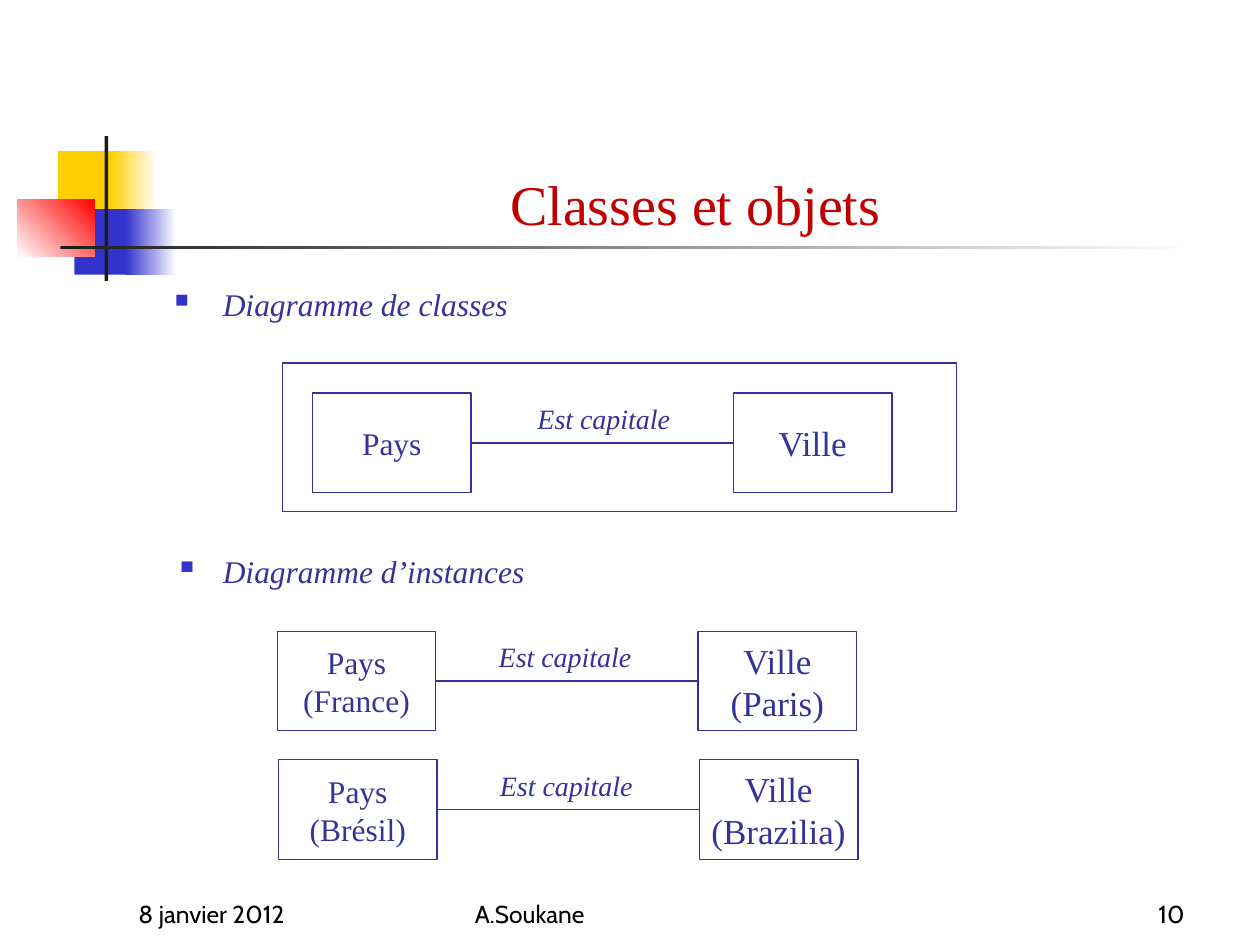
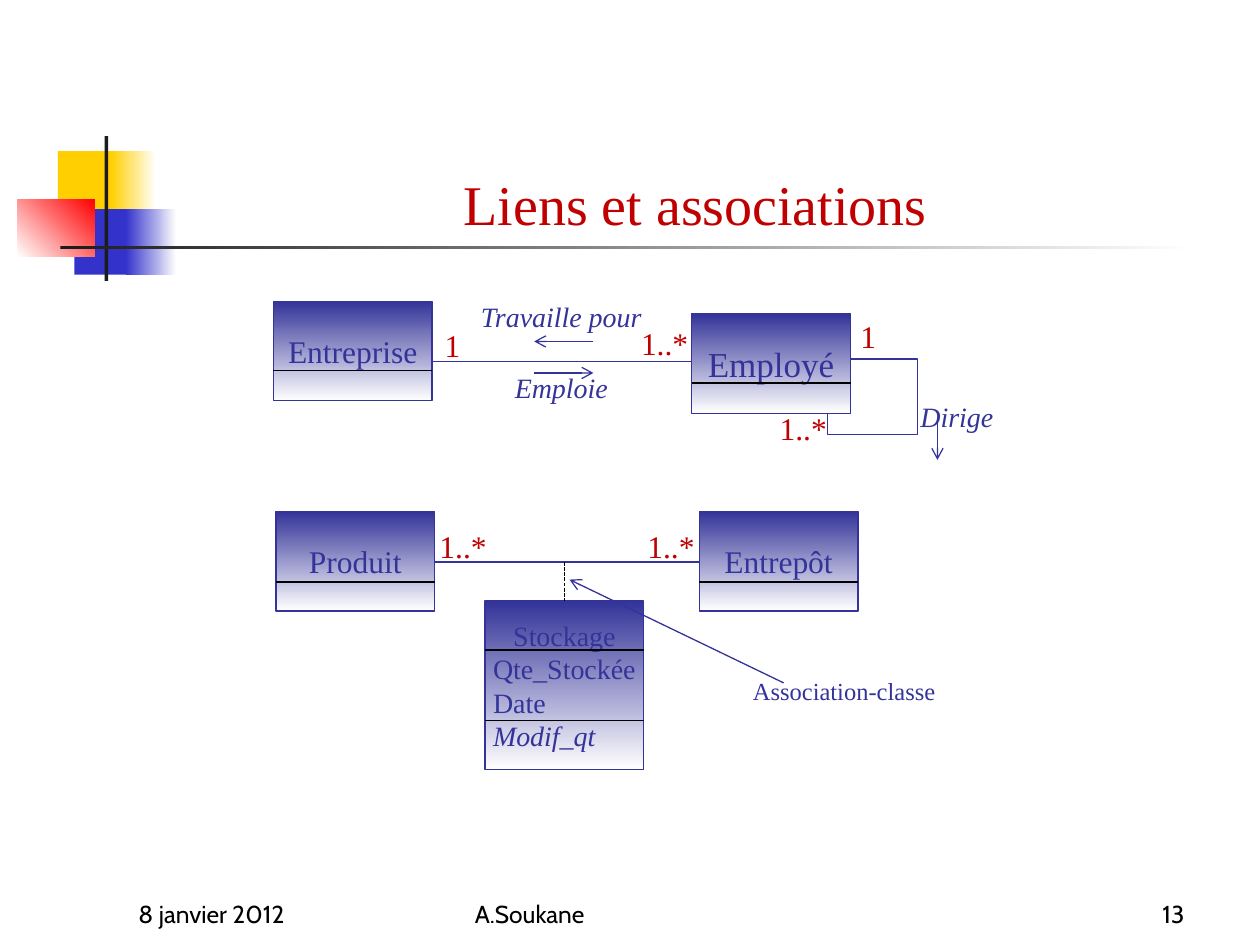
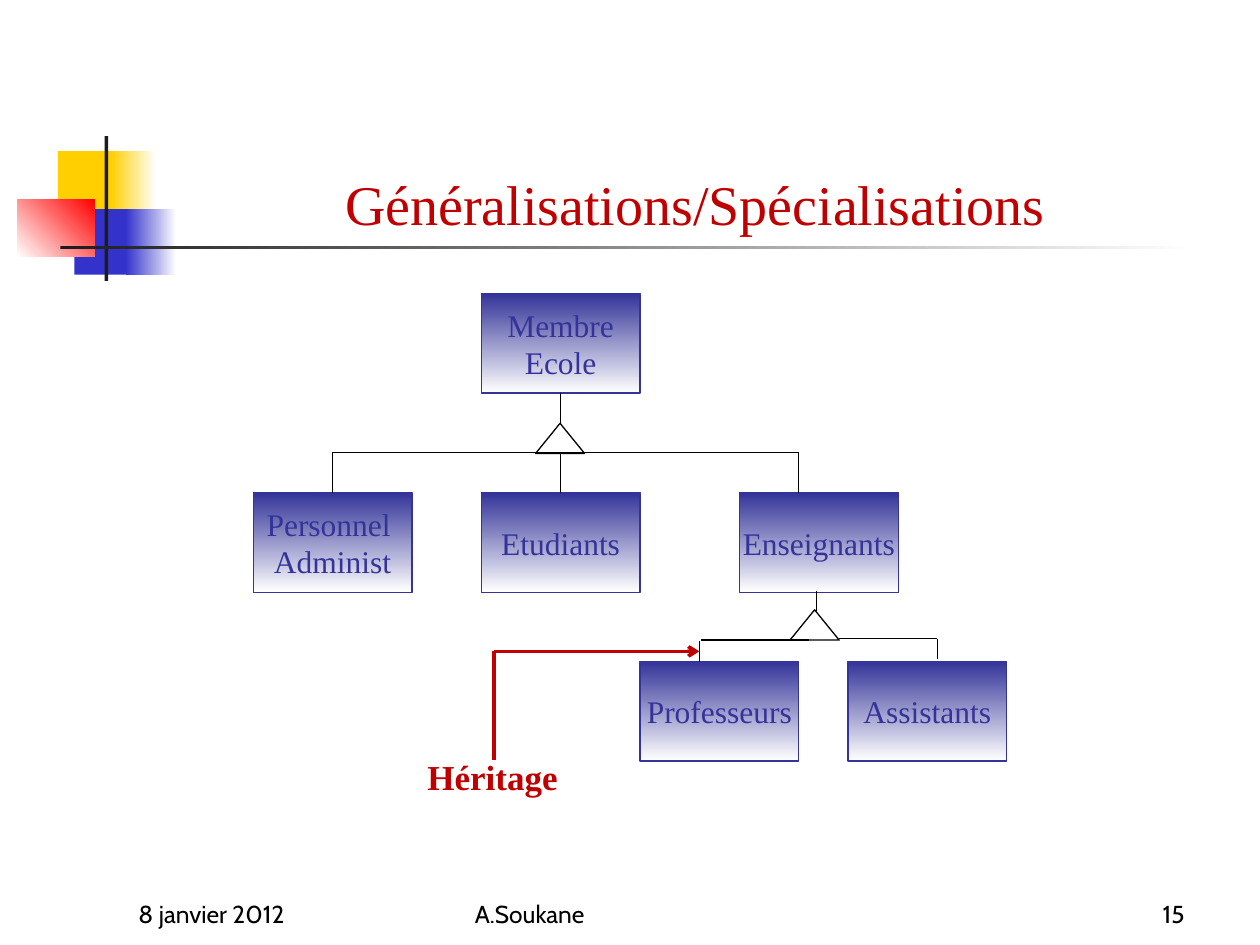
import pptx
import pptx.dml.color
import pptx.enum.dml
import pptx.enum.shapes
import pptx.enum.text
import pptx.oxml.ns
import pptx.util
from lxml import etree

Inches = pptx.util.Inches
Pt = pptx.util.Pt
ALIGN = pptx.enum.text.PP_ALIGN
ANCHOR = pptx.enum.text.MSO_ANCHOR
SHAPES = pptx.enum.shapes.MSO_SHAPE

COLORS = {
    "ink": "333399",
    "accent": "C00000",
    "black": "000000",
    "white": "FFFFFF",
    "yellow": "FFCF01",
    "blue": "3333CC",
    "red": "FF0000",
    "band": "1C1C1C",
}
SERIF = "Times New Roman"
FOOTER_FONT = "Cabin"
BOX_WIDTH, BOX_HEIGHT = 1.26, 0.79
PAIR_STEP = 3.34
CLASS_FILL = ("ink", "white", 90)


def rgb(name):
    """Return the named colour."""
    return pptx.dml.color.RGBColor.from_string(COLORS[name])


def add_child(parent, tag, **attributes):
    """Append a drawing element to an XML parent."""
    return etree.SubElement(parent, pptx.oxml.ns.qn(tag), attributes)


def write(text_frame, lines, size, color="ink", font=SERIF, align=ALIGN.CENTER,
          bold=False, italic=False):
    """Fill a text frame with evenly formatted paragraphs."""
    text_frame.text = "\n".join(lines)
    for paragraph in text_frame.paragraphs:
        paragraph.alignment = align
        for run in paragraph.runs:
            run.font.name = font
            run.font.size = Pt(size)
            run.font.color.rgb = rgb(color)
            run.font.bold = bold
            run.font.italic = italic


def add_text(slide, left, top, width, height, lines, size,
             anchor=ANCHOR.TOP, **style):
    """Add a wrapping text box."""
    box = slide.shapes.add_textbox(Inches(left), Inches(top), Inches(width), Inches(height))
    box.text_frame.word_wrap = True
    box.text_frame.vertical_anchor = anchor
    write(box.text_frame, lines, size, **style)
    return box


def add_label(slide, left, top, text, width=1.73, height=0.37, size=16, **style):
    """Add the name of an association, in italics by default."""
    style.setdefault("italic", True)
    label = add_text(slide, left, top, width, height, [text], size, **style)
    label.text_frame.auto_size = pptx.enum.text.MSO_AUTO_SIZE.SHAPE_TO_FIT_TEXT


def add_multiplicity(slide, left, top, text):
    """Add a red multiplicity beside an association end."""
    width = 0.23 if len(text) == 1 else 0.71
    add_label(slide, left, top, text, width, 0.4, 18, color="accent", italic=False)


def add_figure(slide, left, top, width, height, fill=None, line=None,
               preset=SHAPES.RECTANGLE):
    """Add a preset shape with a plain, gradient or empty fill."""
    shape = slide.shapes.add_shape(
        preset, Inches(left), Inches(top), Inches(width), Inches(height))
    shape.shadow.inherit = False
    if fill is None:
        shape.fill.background()
    elif isinstance(fill, str):
        shape.fill.solid()
        shape.fill.fore_color.rgb = rgb(fill)
    else:
        start, end, clockwise = fill
        shape.fill.gradient()
        shape.fill.gradient_angle = (360 - clockwise) % 360
        for stop, name, position in zip(shape.fill.gradient_stops, (start, end), (0, 1)):
            stop.color.rgb = rgb(name)
            stop.position = position
    if line:
        shape.line.color.rgb = rgb(line)
        shape.line.width = Pt(0.75)
    else:
        shape.line.fill.background()
    return shape


def add_box(slide, left, top, lines, size=18, fill=CLASS_FILL, height=BOX_HEIGHT):
    """Add a class or instance box."""
    box = add_figure(slide, left, top, BOX_WIDTH, height, fill, "ink")
    box.text_frame.word_wrap = False
    box.text_frame.vertical_anchor = ANCHOR.MIDDLE
    write(box.text_frame, lines, size)
    return box


def add_line(slide, x1, y1, x2, y2, color="ink", width=0.75, arrow=False, dashed=False):
    """Add a straight line, with an open arrowhead at its end if asked."""
    line = slide.shapes.add_connector(
        pptx.enum.shapes.MSO_CONNECTOR.STRAIGHT,
        Inches(x1), Inches(y1), Inches(x2), Inches(y2))
    line.line.color.rgb = rgb(color)
    line.line.width = Pt(width)
    if dashed:
        line.line.dash_style = pptx.enum.dml.MSO_LINE.SQUARE_DOT
    if arrow:
        add_child(line.line._get_or_add_ln(), "a:tailEnd", type="arrow")
    add_child(line._element.spPr, "a:effectLst")


def add_divider(slide, left, y):
    """Rule off a compartment of a class box."""
    add_line(slide, left, y, left + BOX_WIDTH, y, "black")


def add_triangle(slide, left, top):
    """Add a generalisation triangle."""
    add_figure(slide, left, top, 0.39, 0.24, None, "black", SHAPES.ISOSCELES_TRIANGLE)


def add_capital_pair(slide, left, top, country, city, label="Est capitale"):
    """Link a country box to its capital box."""
    right = left + PAIR_STEP
    middle = top + BOX_HEIGHT / 2
    add_box(slide, left, top, country, 18, None)
    add_box(slide, right, top, city, 20, None)
    add_line(slide, left + BOX_WIDTH, middle, right, middle)
    add_label(slide, left + 1.42, top + 0.02, label)


def add_bullets(slide, items):
    """Add the italic headings; items hold text, bullet, size and space before."""
    body = add_text(slide, 1.29, 2.21, 8.5, 4.5, [item[0] for item in items], 18,
                    align=ALIGN.LEFT, italic=True)
    for paragraph, (_, bullet, percent, space) in zip(body.text_frame.paragraphs, items):
        paragraph.space_before = Pt(space)
        properties = paragraph._p.get_or_add_pPr()
        properties.set("marL", str(Inches(0.38)))
        properties.set("indent", str(-Inches(0.38)))
        color = add_child(properties, "a:buClr")
        add_child(color, "a:srgbClr", val=COLORS["blue"])
        add_child(properties, "a:buSzPct", val=str(percent * 1000))
        add_child(properties, "a:buChar", char=bullet)


def start_slide(presentation, title, number):
    """Add a slide with the shared ornament, title and footer."""
    slide = presentation.slides.add_slide(presentation.slide_layouts[6])
    ornament = [
        (0.46, 1.2, 0.48, 0.52, "yellow"),
        (0.88, 1.2, 0.36, 0.52, ("yellow", "white", 0)),
        (0.59, 1.66, 0.46, 0.52, "blue"),
        (1, 1.66, 0.4, 0.52, ("blue", "white", 0)),
        (0.14, 1.58, 0.61, 0.46, ("white", "red", 315)),
        (0.83, 1.08, 0.03, 1.15, "band"),
        (0.48, 1.95, 9, 0.03, ("band", "white", 0)),
    ]
    for piece in ornament:
        add_figure(slide, *piece)
    add_text(slide, 1.26, 0.68, 8.52, 1.25, [title], 32, ANCHOR.BOTTOM, color="accent")
    footer = [
        (1, 2.08, "8 janvier 2012", ALIGN.LEFT),
        (3.67, 3.17, "A.Soukane", ALIGN.LEFT),
        (7.42, 2.08, str(number), ALIGN.RIGHT),
    ]
    for left, width, text, align in footer:
        add_text(slide, left, 6.92, width, 0.5, [text], 14, ANCHOR.BOTTOM,
                 color="black", font=FOOTER_FONT, align=align)
    return slide


def build_classes(presentation):
    """Build the class and instance diagrams."""
    slide = start_slide(presentation, "Classes et objets", 10)
    add_bullets(slide, [("Diagramme de classes", "■", 60, 3.6),
                        ("Diagramme d’instances", "▪", 104, 131)])
    add_capital_pair(slide, 2.48, 3.12, ["Pays"], ["Ville"], " Est capitale")
    add_figure(slide, 2.24, 2.88, 5.35, 1.18, None, "ink")
    add_capital_pair(slide, 2.2, 5.01, ["Pays", "(France)"], ["Ville", "(Paris)"])
    add_capital_pair(slide, 2.21, 6.03, ["Pays", "(Brésil)"], ["Ville", "(Brazilia)"])


def build_staff_links(slide):
    """Draw the company and employee associations."""
    add_label(slide, 6.73, 3.12, "Dirige")
    add_figure(slide, 6.57, 2.85, 0.71, 0.6, None, "ink")
    add_box(slide, 2.17, 2.39, ["Entreprise"])
    add_line(slide, 3.43, 2.87, 5.51, 2.87)
    add_label(slide, 3.59, 2.33, "Travaille pour")
    add_label(slide, 3.59, 2.89, "Emploie")
    add_box(slide, 5.49, 2.49, ["Employé"], 20)
    for ends in [(7.44, 3.32, 7.44, 3.65), (4.71, 2.71, 4.24, 2.71),
                 (4.24, 2.96, 4.71, 2.96)]:
        add_line(slide, *ends, arrow=True)
    for left, top, text in [(3.43, 2.54, "1"), (4.92, 2.52, "1..*"),
                            (6.73, 2.47, "1"), (6.02, 3.2, "1..*")]:
        add_multiplicity(slide, left, top, text)
    add_divider(slide, 2.17, 2.94)
    add_divider(slide, 5.49, 3.04)


def build_storage_links(slide):
    """Draw the product, warehouse and association class."""
    product, warehouse, storage = 2.19, 5.55, 3.85
    add_box(slide, product, 4.06, ["Produit"])
    add_box(slide, warehouse, 4.06, ["Entrepôt"])
    box = add_box(slide, storage, 4.77, ["Stockage", "Qte_Stockée", "Date", "Modif_qt"],
                  16, height=1.34)
    paragraphs = box.text_frame.paragraphs
    for paragraph in paragraphs[2:]:
        paragraph.alignment = ALIGN.LEFT
    paragraphs[3].runs[0].font.italic = True
    add_line(slide, product + BOX_WIDTH, 4.46, warehouse, 4.46)
    for left in (4.97, 3.32):
        add_multiplicity(slide, left, 4.13, "1..*")
    for left, y in [(product, 4.62), (warehouse, 4.62), (storage, 5.16), (storage, 5.72)]:
        add_divider(slide, left, y)
    add_line(slide, 4.48, 4.46, 4.48, 4.77, "black", dashed=True)
    add_label(slide, 5.49, 5.32, "Association-classe", 2.42, 0.34, 14, italic=False)
    add_line(slide, 6.22, 5.42, 4.52, 4.6, arrow=True)


def build_associations(presentation):
    """Build the slide on links and associations."""
    slide = start_slide(presentation, "Liens et associations", 13)
    build_staff_links(slide)
    build_storage_links(slide)


def build_inheritance(presentation):
    """Build the generalisation tree."""
    slide = start_slide(presentation, "Généralisations/Spécialisations", 15)
    boxes = [
        (3.82, 2.33, ["Membre", "Ecole"]),
        (3.82, 3.91, ["Etudiants"]),
        (2.01, 3.91, ["Personnel ", "Administ"]),
        (5.87, 3.91, ["Enseignants"]),
        (6.73, 5.25, ["Assistants"]),
        (5.08, 5.25, ["Professeurs"]),
    ]
    for left, top, lines in boxes:
        add_box(slide, left, top, lines)
    branches = [
        (4.69, 3.59, 6.34, 3.59), (2.64, 3.59, 4.69, 3.59),
        (4.45, 3.59, 4.45, 3.91), (6.34, 3.59, 6.34, 3.91),
        (2.64, 3.59, 2.64, 3.91), (4.45, 3.12, 4.45, 3.36),
        (5.56, 5.08, 6.42, 5.08), (7.44, 5.07, 7.44, 5.23),
        (5.55, 5.09, 5.55, 5.25), (6.48, 4.69, 6.48, 4.85),
        (6.66, 5.07, 7.44, 5.07),
    ]
    for ends in branches:
        add_line(slide, *ends, "black")
    add_triangle(slide, 4.25, 3.36)
    add_triangle(slide, 6.27, 4.84)
    add_label(slide, 2.81, 5.95, "Héritage", 2.2, 0.44, 20,
              color="accent", bold=True, italic=False)
    add_line(slide, 3.92, 5.17, 5.55, 5.17, "accent", 2, arrow=True)
    add_line(slide, 3.92, 5.17, 3.92, 6.03, "accent", 2)


def main():
    """Build and save the presentation."""
    presentation = pptx.Presentation()
    presentation.slide_width = Inches(10)
    presentation.slide_height = Inches(7.5)
    build_classes(presentation)
    build_associations(presentation)
    build_inheritance(presentation)
    presentation.save("out.pptx")


main()
